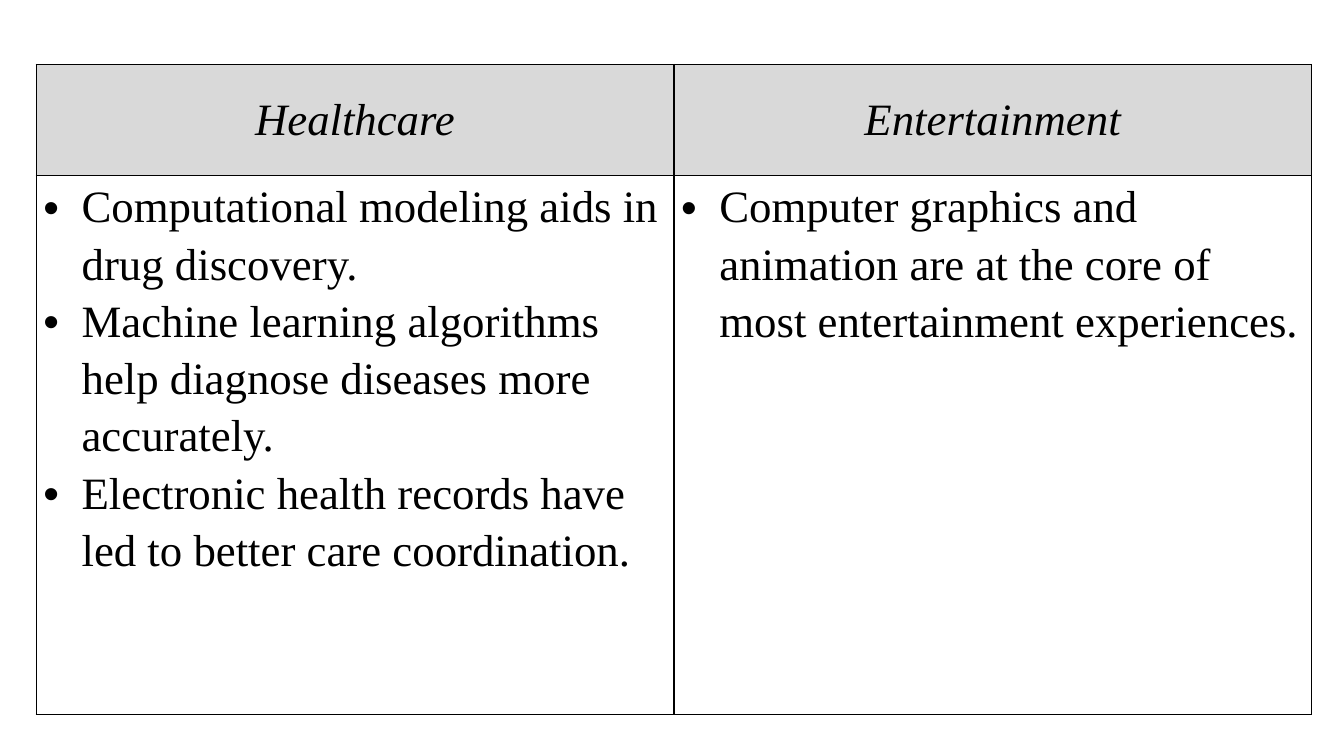
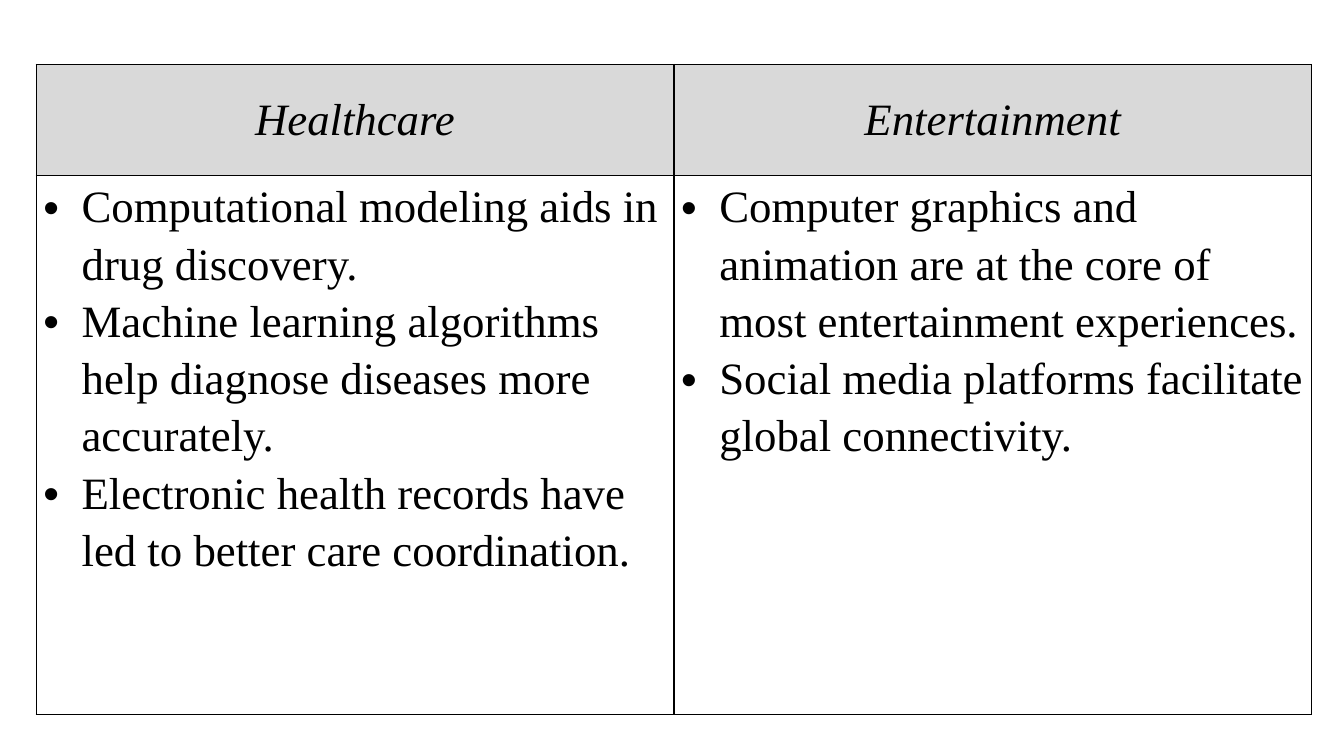
"""Builds two slides that compare computing in healthcare and entertainment."""
from lxml.etree import SubElement
from pptx import Presentation
from pptx.dml.color import RGBColor
from pptx.enum.text import MSO_ANCHOR, PP_ALIGN
from pptx.oxml.ns import qn
from pptx.util import Inches, Pt

HEADINGS = ["Healthcare", "Entertainment"]
HEALTHCARE = [
    "Computational modeling aids in drug discovery.",
    "Machine learning algorithms help diagnose diseases more accurately.",
    "Electronic health records have led to better care coordination.",
]
ENTERTAINMENT = [
    "Computer graphics and animation are at the core of most entertainment experiences.",
    "Social media platforms facilitate global connectivity.",
]
SLIDES = [
    [HEALTHCARE, ENTERTAINMENT[:1]],
    [HEALTHCARE, ENTERTAINMENT],
]

FONT, SIZE = "Times New Roman", Pt(32)
BLACK, GREY = "000000", "D9D9D9"
LEFT, TOP, WIDTH = Inches(0.36), Inches(0.64), Inches(12.65)
ROW_HEIGHTS = [Inches(1.1), Inches(5.35)]
SIDE_MARGIN, INDENT = Inches(0.07), Inches(0.38)
BORDER = Pt(1)


def colour(value):
    return RGBColor.from_string(value)


def add_borders(cell):
    properties = cell._tc.get_or_add_tcPr()
    for side in ("a:lnL", "a:lnR", "a:lnT", "a:lnB"):
        line = SubElement(properties, qn(side), w=str(BORDER))
        fill = SubElement(line, qn("a:solidFill"))
        SubElement(fill, qn("a:srgbClr"), val=BLACK)


def add_bullet(para):
    properties = para._p.get_or_add_pPr()
    properties.set("marL", str(INDENT))
    properties.set("indent", str(-INDENT))
    SubElement(properties, qn("a:buFont"), typeface="Arial")
    SubElement(properties, qn("a:buChar"), char="•")
    para.line_spacing = 1.15


def fill_cell(cell, lines, heading):
    cell.margin_left = cell.margin_right = SIDE_MARGIN
    cell.margin_top = cell.margin_bottom = 0
    cell.vertical_anchor = MSO_ANCHOR.MIDDLE if heading else MSO_ANCHOR.TOP
    add_borders(cell)
    if heading:
        cell.fill.solid()
        cell.fill.fore_color.rgb = colour(GREY)
    else:
        cell.fill.background()
    frame = cell.text_frame
    for index, line in enumerate(lines):
        para = frame.add_paragraph() if index else frame.paragraphs[0]
        if heading:
            para.alignment = PP_ALIGN.CENTER
        else:
            add_bullet(para)
        span = para.add_run()
        span.text = line
        span.font.name, span.font.size = FONT, SIZE
        span.font.italic = heading
        span.font.color.rgb = colour(BLACK)


def add_comparison(page, columns):
    frame = page.shapes.add_table(
        len(ROW_HEIGHTS), len(columns), LEFT, TOP, WIDTH, sum(ROW_HEIGHTS))
    table = frame.table
    table.first_row = table.horz_banding = False
    for row, height in zip(table.rows, ROW_HEIGHTS):
        row.height = height
    for index, (heading, points) in enumerate(zip(HEADINGS, columns)):
        table.columns[index].width = WIDTH // len(columns)
        fill_cell(table.cell(0, index), [heading], True)
        fill_cell(table.cell(1, index), points, False)


def main():
    deck = Presentation()
    deck.slide_width, deck.slide_height = Inches(13.33), Inches(7.5)
    for columns in SLIDES:
        page = deck.slides.add_slide(deck.slide_layouts[6])
        add_comparison(page, columns)
    deck.save("out.pptx")


if __name__ == "__main__":
    main()
